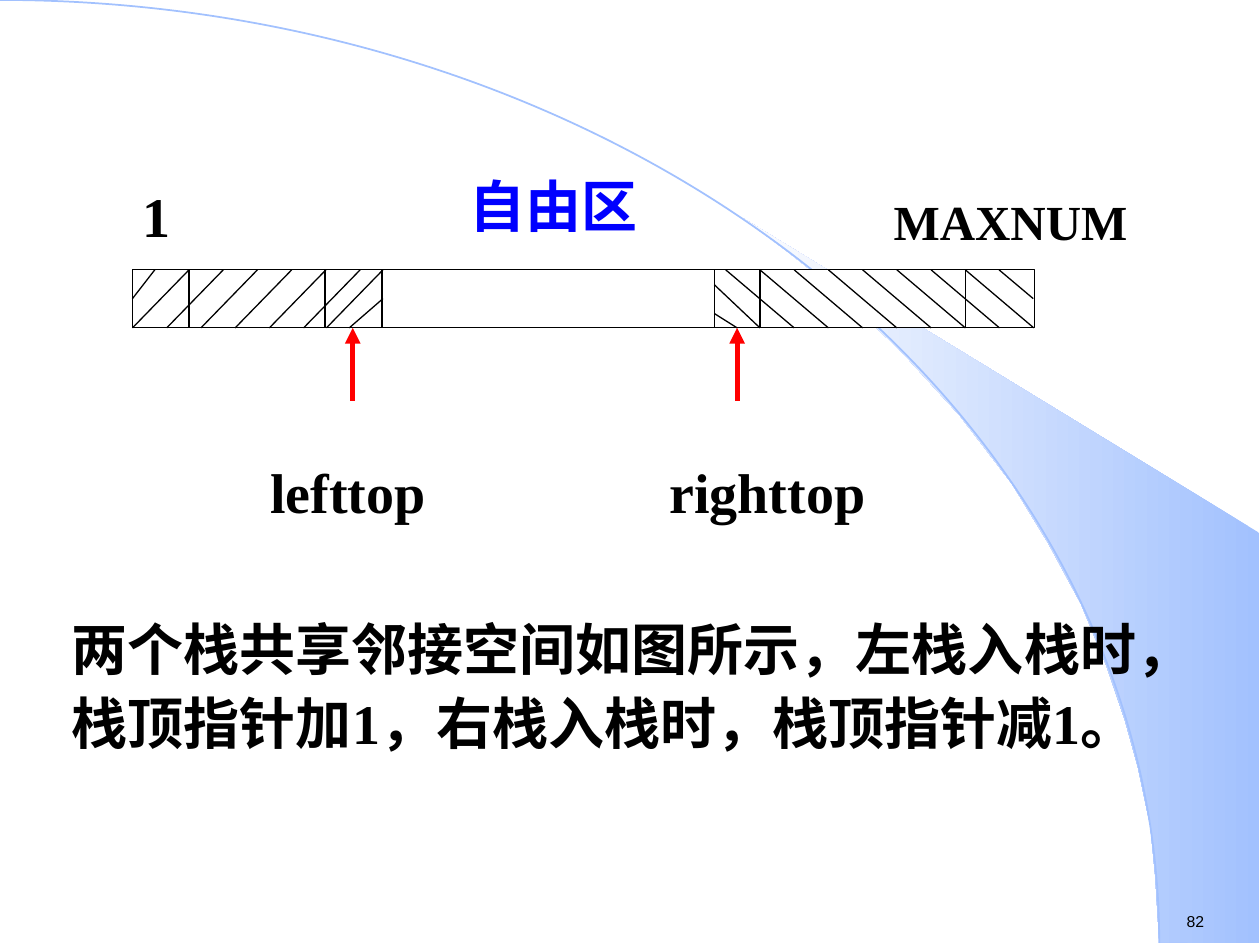
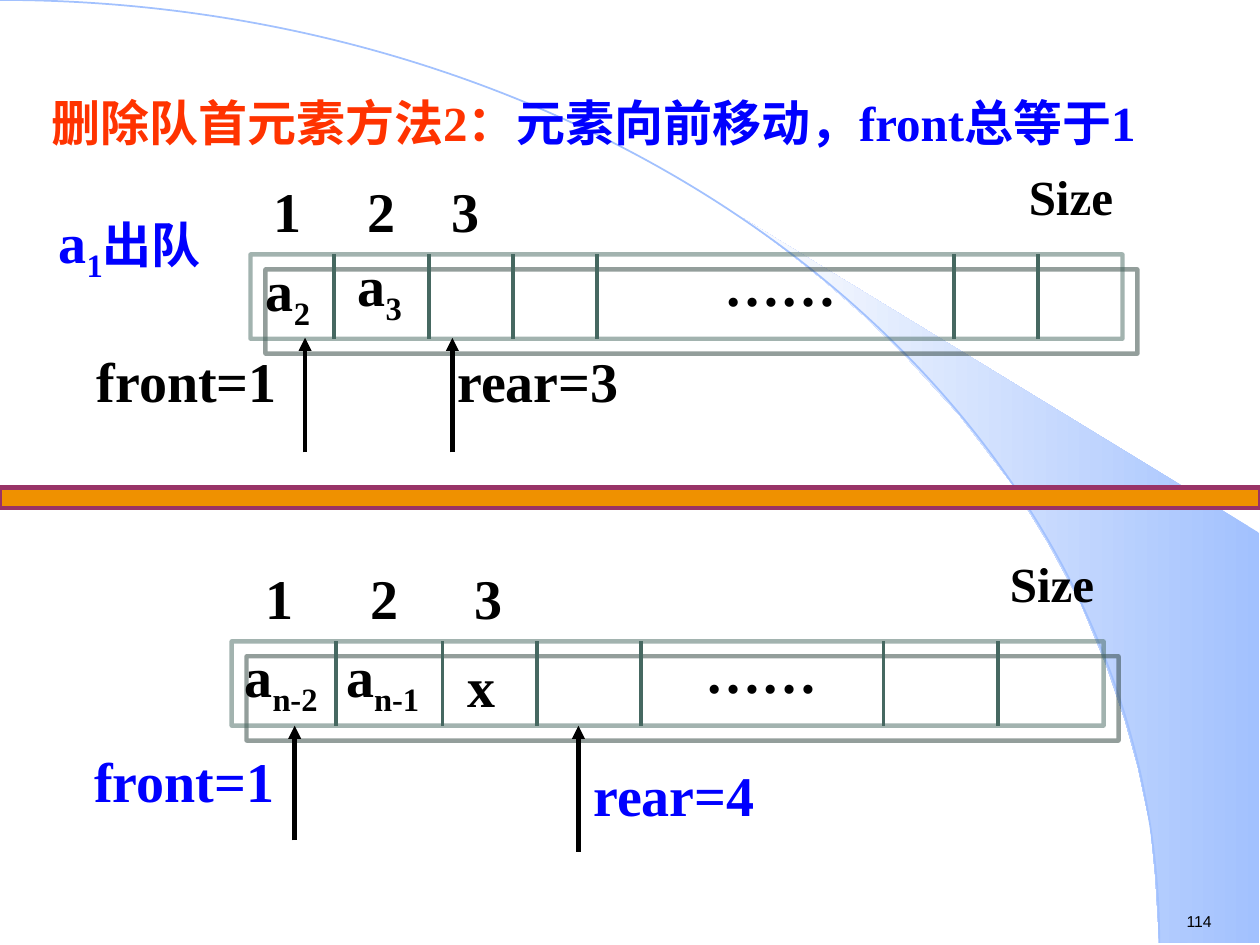
import lxml.etree
import pptx
import pptx.dml.color
import pptx.enum.shapes
import pptx.enum.text
import pptx.oxml.ns
import pptx.util

Cm = pptx.util.Cm
Pt = pptx.util.Pt
qn = pptx.oxml.ns.qn
RGBColor = pptx.dml.color.RGBColor
SHAPE = pptx.enum.shapes.MSO_SHAPE
ALIGN = pptx.enum.text.PP_ALIGN

BLACK = RGBColor(0x00, 0x00, 0x00)
WHITE = RGBColor(0xFF, 0xFF, 0xFF)
BLUE = RGBColor(0x00, 0x00, 0xFF)
RED = RGBColor(0xFF, 0x00, 0x00)
ORANGE_RED = RGBColor(0xFF, 0x33, 0x00)
SKY = RGBColor(0xA2, 0xC1, 0xFE)
PALE = RGBColor(0xFE, 0xFE, 0xFE)
AMBER = RGBColor(0xEF, 0x91, 0x00)
PLUM = RGBColor(0x99, 0x33, 0x66)
GREEN = RGBColor(0x46, 0x68, 0x61)
SERIF = "Times New Roman"
HAN = "Noto Sans CJK SC"

WEDGE = [(23.37, 19), (25.38, 19.02), (25.38, 10.74), (14.96, 4.39),
         (15.85, 5.05), (16.59, 5.64), (17.4, 6.35), (18.19, 7.11),
         (19.35, 8.38), (20.4, 9.75), (21.13, 10.95), (21.79, 12.17),
         (22.3, 13.41), (22.68, 14.53), (22.94, 15.47), (23.19, 16.66),
         (23.29, 17.68)]


def add_xml(parent, tag, **attrs):
    return lxml.etree.SubElement(parent, qn(tag), attrs)


class Deck:
    def __init__(self):
        self.prs = pptx.Presentation()
        self.prs.slide_width, self.prs.slide_height = Cm(25.4), Cm(19.05)
        self.s = None

    def slide(self, layout, number):
        self.s = self.prs.slides.add_slide(self.prs.slide_layouts[layout])
        if len(self.prs.slides) == 1:
            self.backdrop()
        self.text(str(number), 23.67, 18.26, 1.96, 0.64,
                  size=9, font="Arial", bold=False)

    def backdrop(self):
        points = [(Cm(x), Cm(y)) for x, y in WEDGE]
        fb = self.s.shapes.build_freeform(*points[0])
        fb.add_line_segments(points[1:])
        wedge = fb.convert_to_shape()
        wedge.fill.gradient()
        wedge.fill.gradient_angle = 180
        for stop, color in zip(wedge.fill.gradient_stops, (SKY, PALE)):
            stop.color.rgb = color
        wedge.line.fill.background()
        arc = self.shape(SHAPE.ARC, -23.37, 0, 46.74, 38.02, None, SKY, 1)
        wedge.shadow.inherit = False
        tree = self.prs.slide_master.shapes.element
        for i, sp in enumerate((wedge, arc)):
            sp.element.nvSpPr.cNvPr.set("id", str(100 + i))
            tree.insert(2 + i, sp.element)

    def shape(self, kind, left, top, width, height, fill, line, weight):
        sp = self.s.shapes.add_shape(kind, Cm(left), Cm(top), Cm(width), Cm(height))
        sp.shadow.inherit = False
        if fill is None:
            sp.fill.background()
        else:
            sp.fill.solid()
            sp.fill.fore_color.rgb = fill
        sp.line.color.rgb = line
        sp.line.width = Pt(weight)
        return sp

    def line(self, x1, y1, x2, y2, color=BLACK, weight=0.75, arrow=False):
        c = self.s.shapes.add_connector(pptx.enum.shapes.MSO_CONNECTOR.STRAIGHT,
                                        Cm(x1), Cm(y1), Cm(x2), Cm(y2))
        c.line.color.rgb = color
        c.line.width = Pt(weight)
        if arrow:
            add_xml(c.element.spPr.find(qn("a:ln")), "a:tailEnd", type="triangle")
        add_xml(c.element.spPr, "a:effectLst")

    def run(self, p, text, size=32, color=BLACK, font=SERIF, bold=True, sub=False):
        r = p.add_run()
        r.text = text
        r.font.size = Pt(size)
        r.font.bold = bold
        r.font.color.rgb = color
        r.font.name = font
        rPr = r._r.get_or_add_rPr()
        add_xml(rPr, "a:ea", typeface=HAN)
        if sub:
            rPr.set("baseline", "-25000")

    def text(self, text, left, top, width, height=1.63, sub="", align=ALIGN.LEFT,
             inset=True, **style):
        sp = self.s.shapes.add_textbox(Cm(left), Cm(top), Cm(width), Cm(height))
        tf = sp.text_frame
        tf.word_wrap = True
        if not inset:
            tf.margin_left = tf.margin_right = tf.margin_top = tf.margin_bottom = 0
        p = tf.paragraphs[0]
        p.alignment = align
        self.run(p, text, **style)
        if sub:
            self.run(p, sub, sub=True, **style)
        return p

    def placeholder(self, sp, left, top, width, height, spacing=1.0):
        sp.left, sp.top, sp.width, sp.height = Cm(left), Cm(top), Cm(width), Cm(height)
        tf = sp.text_frame
        tf.word_wrap = True
        tf.auto_size = pptx.enum.text.MSO_AUTO_SIZE.NONE
        tf.vertical_anchor = pptx.enum.text.MSO_ANCHOR.TOP
        p = tf.paragraphs[0]
        pPr = p._p.get_or_add_pPr()
        pPr.set("marL", "0")
        pPr.set("indent", "0")
        add_xml(pPr, "a:buNone")
        p.alignment = ALIGN.LEFT
        p.line_spacing = spacing
        p.space_before = Pt(0)
        return p

    def queue(self, left, top, dividers, index_lefts):
        height = 1.7
        sp = self.shape(SHAPE.RECTANGLE, left, top, 17.58, height, None, GREEN, 2.5)
        spPr = sp.element.spPr
        clr = spPr.find(qn("a:ln")).find(".//" + qn("a:srgbClr"))
        add_xml(clr, "a:alpha", val="50000")
        shadow = add_xml(spPr.find(qn("a:effectLst")), "a:outerShdw",
                         dist=str(Pt(12.1)), dir="2700000", algn="ctr", rotWithShape="0")
        add_xml(shadow, "a:srgbClr", val="293E39")
        for x in dividers:
            self.line(x, top, x, top + height, GREEN, 2.25)
        self.text("……", left + 9.3, top - 0.2, 3.18)
        for i, x in enumerate(index_lefts, 1):
            self.text(str(i), x, top - 1.7, 1.27)
        self.text("Size", left + 15.44, top - 1.9, 3.8, 1.45, size=28)


def shared_stacks(d):
    d.slide(1, 82)
    title = d.s.shapes.title.element
    title.getparent().remove(title)
    p = d.placeholder(d.s.placeholders[1], 1.19, 12.12, 23.22, 3.25, 1.1)
    d.run(p, "两个栈共享邻接空间如图所示，左栈入栈时，栈顶指针加1，右栈入栈时，栈顶指针减1。")

    top, mid, bottom = 5.44, 6.02, 6.61
    d.shape(SHAPE.RECTANGLE, 2.67, top, 18.19, bottom - top, WHITE, BLACK, 0.75)
    for x in (3.81, 6.55, 7.7, 14.4, 15.32, 19.46):
        d.line(x, top, x, bottom)
    step = 0.69
    for x in [3.81 + step * i for i in range(6)] + [7.72]:
        d.line(x, top, x - 1.14, bottom)
    for i in range(8):
        x = 14.63 + step * i
        d.line(x, top, x + 2 * step, bottom)
    for ends in ((3.12, top, 2.67, mid), (7.72, mid, 7.04, bottom),
                 (20.14, top, 20.83, mid), (14.4, 5.74, 15.32, bottom),
                 (14.4, 6.32, 14.86, bottom)):
        d.line(*ends)
    for x in (7.11, 14.86):
        d.line(x, 8.08, x, bottom, RED, 3, arrow=True)

    d.text("自由区", 9.09, 3.33, 4.14, 1.4, align=ALIGN.CENTER, color=BLUE)
    d.text("lefttop", 5.18, 9.09, 3.68, 2.03, align=ALIGN.CENTER)
    d.text("righttop", 13.03, 9.09, 4.88, 1.85, align=ALIGN.CENTER)
    d.text("1", 2.11, 3.53, 2.08, 1.6, align=ALIGN.CENTER)
    d.text("MAXNUM", 16.84, 3.73, 7.06, 1.8, align=ALIGN.CENTER, size=28)


def dequeue_by_shifting(d):
    d.slide(5, 114)
    p = d.placeholder(d.s.shapes.title, 0.79, 1.73, 22.81, 2.64)
    for text, color, font in (("删除队首元素方法", ORANGE_RED, HAN),
                              ("2", ORANGE_RED, SERIF),
                              ("：", ORANGE_RED, HAN),
                              ("元素向前移动，", BLUE, HAN),
                              ("front总等于1", BLUE, SERIF)):
        d.run(p, text, 28, color, font)
    d.shape(SHAPE.RECTANGLE, 0, 9.83, 25.4, 0.41, AMBER, PLUM, 2.5)

    d.queue(5.05, 5.13, (6.73, 8.64, 10.34, 12.04, 19.23, 20.93), (5.26, 7.16, 8.86))
    d.text("a", 6.96, 4.93, 2.11, 1.8, sub="3")
    d.text("a", 5.11, 5.03, 1.7, 1.8, sub="2")
    p = d.text("a", 0.61, 4.06, 4.01, 1.8, sub="1", align=ALIGN.CENTER, color=BLUE)
    d.run(p, "出队", 28, BLUE)
    d.text("front=1", 1.7, 6.86, 5.28)
    d.text("rear=3", 8.97, 6.86, 4.6)

    d.queue(4.67, 12.93, (6.78, 8.92, 10.82, 12.93, 17.81, 20.12), (5.11, 7.21, 9.32))
    d.text("a", 4.93, 12.93, 1.73, 1.55, sub="n-2", inset=False)
    d.text("a", 6.98, 12.93, 1.73, 1.55, sub="n-1", inset=False)
    d.text("x", 9.42, 13.13, 0.79, 1.35, inset=False)
    d.text("front=1", 1.9, 15.04, 3.94, 1.35, inset=False, color=BLUE)
    d.text("rear=4", 11.96, 15.34, 3.66, 1.35, inset=False, color=BLUE)

    for x, tail, head in ((6.15, 9.12, 6.81), (9.12, 9.12, 6.81),
                          (5.94, 16.94, 14.63), (11.66, 17.17, 14.63)):
        d.line(x, tail, x, head, BLACK, 2.5, arrow=True)


def main():
    d = Deck()
    shared_stacks(d)
    dequeue_by_shifting(d)
    d.prs.save("out.pptx")


if __name__ == "__main__":
    main()
